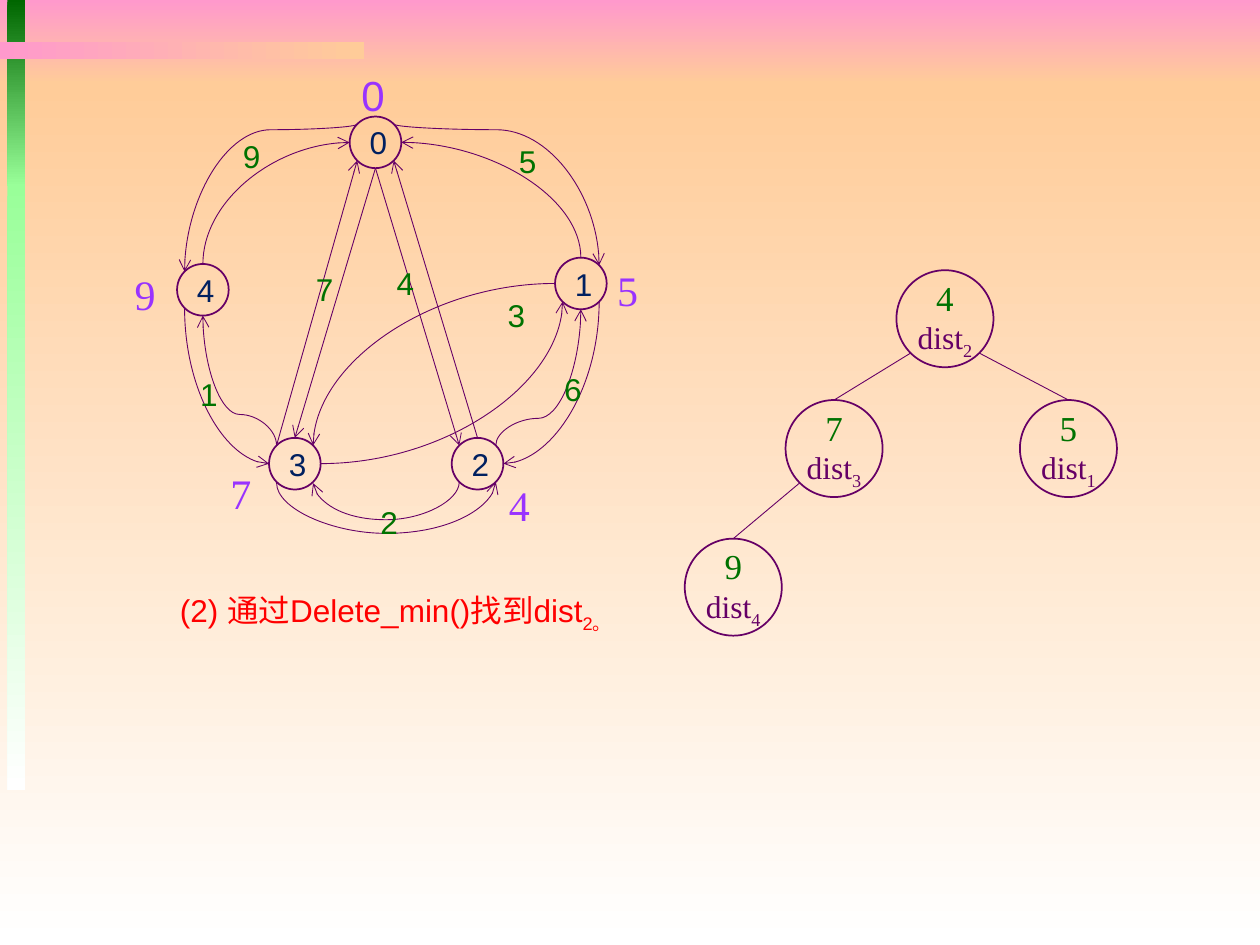
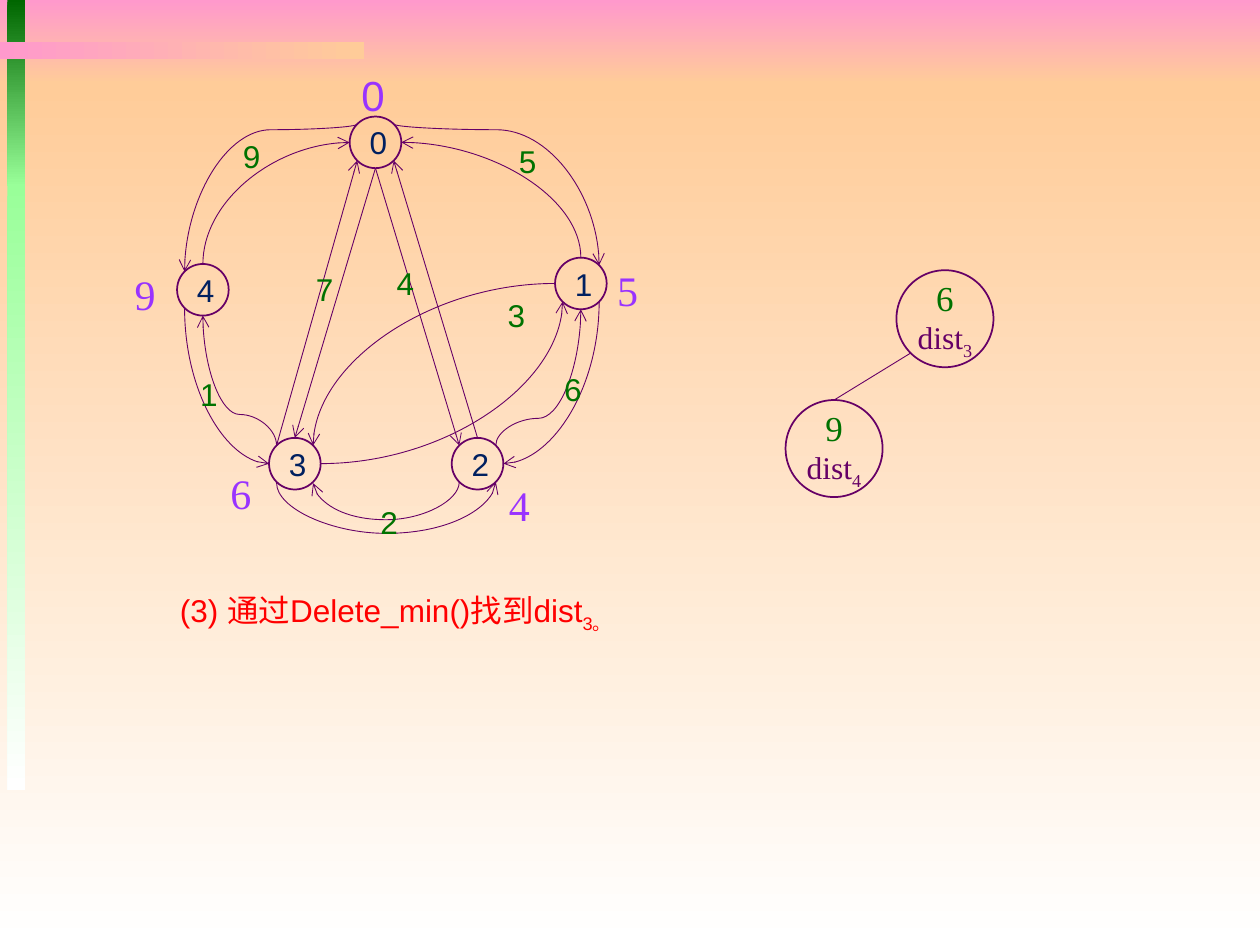
from lxml import etree
from pptx import Presentation
from pptx.dml.color import RGBColor
from pptx.enum.shapes import MSO_CONNECTOR, MSO_SHAPE
from pptx.enum.text import MSO_ANCHOR, MSO_AUTO_SIZE, PP_ALIGN
from pptx.oxml.ns import qn
from pptx.util import Inches, Pt

RECTANGLE, OVAL = MSO_SHAPE.RECTANGLE, MSO_SHAPE.OVAL
STRAIGHT, CURVE = MSO_CONNECTOR.STRAIGHT, MSO_CONNECTOR.CURVE
CENTER, MIDDLE = PP_ALIGN.CENTER, MSO_ANCHOR.MIDDLE
FIT = MSO_AUTO_SIZE.SHAPE_TO_FIT_TEXT

PINK, PEACH, WHITE = "FF99CC", "FFCC99", "FFFFFF"
DARK_GREEN, LIGHT_GREEN = "006600", "99FF99"
PURPLE = "660066"
SANS, SERIF = "Arial", "Times New Roman"

# Text formats
VERTEX = {"size": 18, "name": SANS, "color": "002060"}
WEIGHT = {"size": 18, "name": SANS, "color": "007200"}
DISTANCE = {"size": 24, "name": SERIF, "color": "9933FF"}
KEY = {"size": 20, "name": SERIF, "color": "007200"}
DIST_NAME = {"size": 18, "name": SERIF, "color": PURPLE}
CAPTION = {"size": 18, "name": SANS, "color": "FF0000"}
SUBSCRIPT = {"baseline": -25000}

# Background bands: left, top, width, height, first colour, last colour, angle
BANDS = [
    (0, 0, 10, 0.67, PINK, PEACH, 90),
    (0, 0.67, 10, 6.83, PEACH, WHITE, 90),
    (0.06, 0, 0.14, 1.48, DARK_GREEN, LIGHT_GREEN, 90),
    (0.06, 1.46, 0.14, 4.81, LIGHT_GREEN, WHITE, 90),
    (0, 0.33, 2.89, 0.14, PINK, PEACH, 0),
]

# Graph: vertex centres, and edges as start, site, end, site, arrow, bend level
VERTEX_RADIUS = 0.205
VERTICES = {"0": (2.98, 1.13), "4": (1.61, 2.3), "3": (2.34, 3.68),
            "2": (3.79, 3.68), "1": (4.61, 2.25)}
STRAIGHT_EDGES = [
    ("2", "top left", "0", "bottom", "head"),
    ("3", "top", "0", "bottom", "head"),
    ("3", "top left", "0", "bottom left", "tail"),
    ("2", "top", "0", "bottom right", "tail"),
]
CURVED_EDGES = [
    ("4", "top left", "0", "top left", "head", 1.03),
    ("3", "left", "4", "bottom left", "head", None),
    ("1", "top right", "0", "top right", "head", 1.03),
    ("2", "bottom right", "3", "bottom left", "head", 4.24),
    ("1", "bottom right", "2", "right", "tail", None),
    ("1", "left", "3", "top right", "tail", None),
    ("2", "bottom left", "3", "bottom right", "tail", 4.13),
    ("1", "bottom left", "3", "right", "head", None),
    ("3", "top left", "4", "bottom", "tail", 3.29),
    ("1", "bottom", "2", "top right", "head", 3.32),
    ("0", "left", "4", "top", "head", None),
    ("1", "top", "0", "right", "tail", None),
]
WEIGHTS = [("9", 1.83, 1.04), ("5", 4.02, 1.08), ("4", 3.05, 2.05),
           ("7", 2.41, 2.09), ("1", 1.49, 2.93), ("2", 2.92, 3.94),
           ("3", 3.93, 2.3), ("6", 4.38, 2.89)]
DISTANCE_PLACES = {"1": (4.8, 2.05), "2": (3.94, 3.76),
                   "3": (1.73, 3.66), "4": (0.97, 2.08)}

# Heap: places of the tree nodes, and each child's parent with the site used
HEAP_RADIUS = 0.385
HEAP_PLACES = [(7.5, 2.53), (6.62, 3.56), (8.48, 3.56), (5.82, 4.66)]
HEAP_LINKS = {1: (0, "bottom left"), 2: (0, "bottom right"),
              3: (1, "bottom left")}

# What changes from step to step; the heap lists (key, vertex) in level order
STEPS = [
    {"number": 2, "found": "2",
     "distances": {"1": "5", "2": "4", "3": "7", "4": "9"},
     "heap": [("4", "2"), ("7", "3"), ("5", "1"), ("9", "4")]},
    {"number": 3, "found": "3",
     "distances": {"1": "5", "2": "4", "3": "6", "4": "9"},
     "heap": [("6", "3"), ("9", "4")]},
]


def rgb(value):
    return RGBColor.from_string(value)


def site(center, radius, name):
    """Point on a circle, named by its sides."""
    dx = ("right" in name) - ("left" in name)
    dy = ("bottom" in name) - ("top" in name)
    reach = radius * (0.707 if dx and dy else 1)
    return center[0] + dx * reach, center[1] + dy * reach


class Painter:
    def __init__(self, deck):
        self.deck = deck
        self.page = None

    def new_page(self):
        self.page = self.deck.slides.add_slide(self.deck.slide_layouts[6])
        for band in BANDS:
            self.band(*band)

    def band(self, left, top, width, height, first, last, angle):
        box = self.page.shapes.add_shape(
            RECTANGLE, Inches(left), Inches(top), Inches(width), Inches(height))
        box.shadow.inherit = False
        box.line.fill.background()
        box.fill.gradient()
        box.fill.gradient_angle = -angle % 360
        for stop, color in zip(box.fill.gradient_stops, (first, last)):
            stop.color.rgb = rgb(color)

    def add_span(self, para, text, style):
        span = para.add_run()
        span.text = text
        for key, value in style.items():
            if key == "color":
                span.font.color.rgb = rgb(value)
            elif key == "baseline":
                span._r.get_or_add_rPr().set(key, str(value))
            else:
                setattr(span.font, key, Pt(value) if key == "size" else value)

    def circle(self, center, radius, lines, inset=None):
        """Outlined circle; each line of text is a list of (text, style)."""
        box = self.page.shapes.add_shape(
            OVAL, Inches(center[0] - radius), Inches(center[1] - radius),
            Inches(2 * radius), Inches(2 * radius))
        box.shadow.inherit = False
        box.fill.background()
        box.line.color.rgb = rgb(PURPLE)
        box.line.width = Pt(1)
        frame = box.text_frame
        frame.vertical_anchor = MIDDLE
        if inset is not None:
            for side in ("left", "top", "right", "bottom"):
                setattr(frame, f"margin_{side}", Inches(inset))
        para = frame.paragraphs[0]
        para.alignment = CENTER
        for index, spans in enumerate(lines):
            if index:
                para.add_line_break()
            for text, style in spans:
                self.add_span(para, text, style)

    def text(self, left, top, width, height, spans, wrap=False):
        box = self.page.shapes.add_textbox(
            Inches(left), Inches(top), Inches(width), Inches(height))
        frame = box.text_frame
        frame.word_wrap = wrap
        frame.auto_size = FIT
        for text, style in spans:
            self.add_span(frame.paragraphs[0], text, style)

    def line(self, start, end, arrow=None, kind=STRAIGHT):
        link = self.page.shapes.add_connector(
            kind, *(Inches(value) for value in (*start, *end)))
        link.line.color.rgb = rgb(PURPLE)
        link.line.width = Pt(0.5)
        if arrow:
            etree.SubElement(link.line._get_or_add_ln(),
                             qn(f"a:{arrow}End"), type="arrow")
        etree.SubElement(link._element.spPr, qn("a:effectLst"))
        return link

    def curve(self, start, end, arrow, bend=None, sideways=False):
        """Curve leaving to the left if sideways, otherwise up or down."""
        dx, dy = end[0] - start[0], end[1] - start[1]
        if bend and abs(dy) < 0.01:
            dy = 0.01
        if sideways:
            turn, flip, width, height = 180, dy > 0, abs(dx), abs(dy)
        else:
            turn = 90 if dy > 0 else 270
            flip = (dx > 0) == (dy > 0)
            width, height = abs(dy), abs(dx)
        # The frame is laid out unrotated around the middle of the curve
        left = start[0] + (dx - width) / 2
        top = start[1] + (dy - height) / 2
        link = self.line((left, top), (left + width, top + height), arrow, CURVE)
        frame = link._element.spPr.find(qn("a:xfrm"))
        frame.set("rot", str(turn * 60000))
        if flip:
            frame.set("flipV", "1")
        outline = link._element.spPr.find(qn("a:prstGeom"))
        if bend is None:
            outline.set("prst", "curvedConnector2")
        else:
            share = round((bend - start[1]) / dy * 100000)
            etree.SubElement(outline.find(qn("a:avLst")), qn("a:gd"),
                             name="adj1", fmla=f"val {share}")

    def graph(self, distances):
        for name, center in VERTICES.items():
            self.circle(center, VERTEX_RADIUS, [[(name, VERTEX)]])
        for first, first_site, last, last_site, *rest in (
                STRAIGHT_EDGES + CURVED_EDGES):
            start = site(VERTICES[first], VERTEX_RADIUS, first_site)
            end = site(VERTICES[last], VERTEX_RADIUS, last_site)
            if len(rest) == 1:
                self.line(start, end, *rest)
            else:
                self.curve(start, end, *rest, sideways=first_site == "left")
        for weight, left, top in WEIGHTS:
            self.text(left, top, 0.34, 0.4, [(weight, WEIGHT)])
        self.text(2.77, 0.5, 0.39, 0.5, [("0", {**DISTANCE, "name": SANS})])
        for name, place in DISTANCE_PLACES.items():
            self.text(*place, 0.37, 0.5, [(distances[name], DISTANCE)])

    def heap(self, nodes):
        for index, (key, vertex) in enumerate(nodes):
            center = HEAP_PLACES[index]
            name = [("dist", DIST_NAME), (vertex, {**DIST_NAME, **SUBSCRIPT})]
            self.circle(center, HEAP_RADIUS, [[(key, KEY)], name], inset=0)
            if index in HEAP_LINKS:
                parent, parent_site = HEAP_LINKS[index]
                self.line(site(center, HEAP_RADIUS, "top"),
                          site(HEAP_PLACES[parent], HEAP_RADIUS, parent_site))

    def caption(self, number, found):
        self.text(1.33, 4.64, 3.98, 0.4, [
            (f"({number}) 通过Delete_min()找到dist", CAPTION),
            (f"{found}。", {**CAPTION, **SUBSCRIPT})], wrap=True)


def main():
    deck = Presentation()
    deck.slide_width, deck.slide_height = Inches(10), Inches(7.5)
    painter = Painter(deck)
    for step in STEPS:
        painter.new_page()
        painter.graph(step["distances"])
        painter.heap(step["heap"])
        painter.caption(step["number"], step["found"])
    deck.save("out.pptx")


if __name__ == "__main__":
    main()
